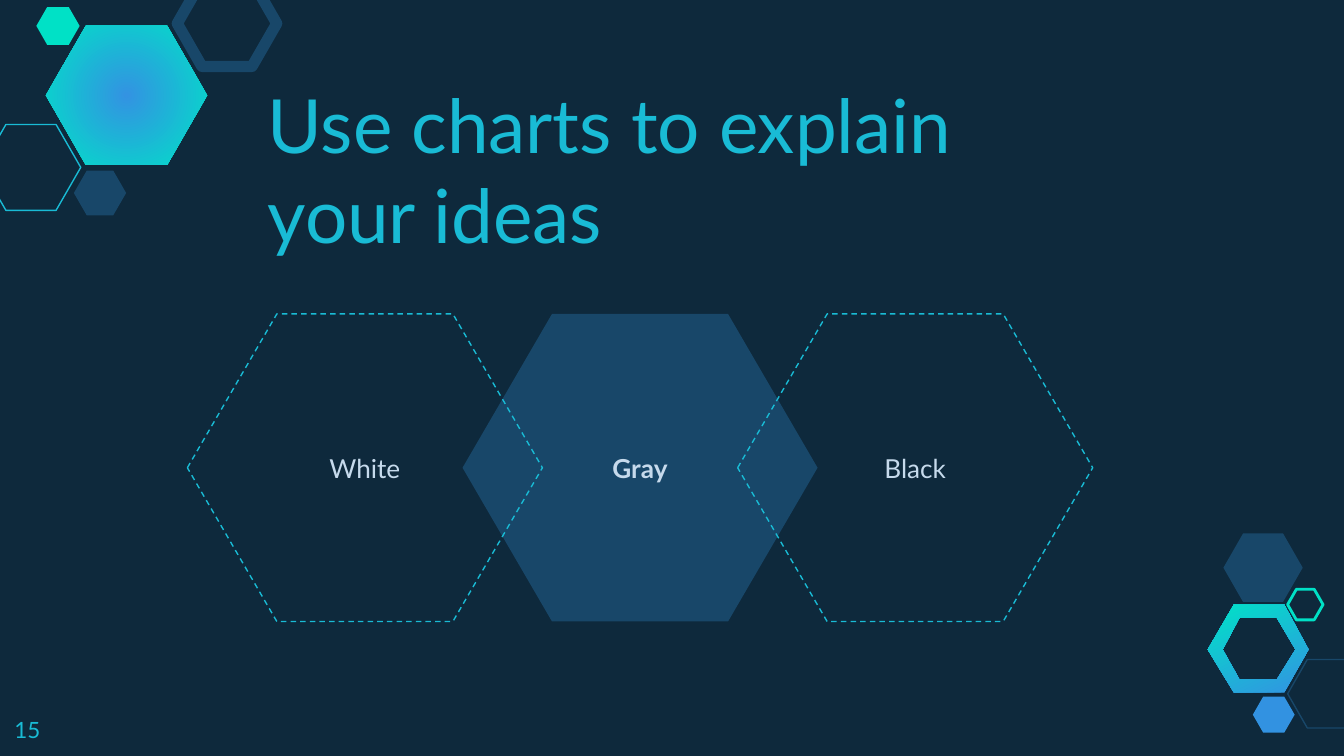
from lxml import etree
from pptx import Presentation
from pptx.dml.color import RGBColor
from pptx.enum.dml import MSO_LINE
from pptx.enum.shapes import MSO_SHAPE
from pptx.enum.text import MSO_ANCHOR, PP_ALIGN
from pptx.oxml.ns import qn
from pptx.util import Pt

HEXAGON = MSO_SHAPE.HEXAGON
DASH = MSO_LINE.DASH
MIDDLE, BOTTOM, TOP = MSO_ANCHOR.MIDDLE, MSO_ANCHOR.BOTTOM, MSO_ANCHOR.TOP
LEFT, CENTER = PP_ALIGN.LEFT, PP_ALIGN.CENTER

NIGHT = RGBColor(0x0E, 0x29, 0x3C)
NAVY = RGBColor(0x18, 0x47, 0x69)
CYAN = RGBColor(0x19, 0xBB, 0xD5)
MINT = RGBColor(0x00, 0xE1, 0xC6)
BLUE = RGBColor(0x32, 0x92, 0xE1)
PALE = RGBColor(0xC6, 0xDA, 0xEC)
GRADIENT_START = RGBColor(0x33, 0x93, 0xE2)
GRADIENT_END = RGBColor(0x00, 0xE2, 0xC7)
FONT = "Lato"


def add_hexagon(slide, box, fill=None, line=None, weight=0.75, slant=0.287):
    shape = slide.shapes.add_shape(HEXAGON, *(Pt(value) for value in box))
    shape.adjustments[0] = slant
    shape.shadow.inherit = False
    if fill is None:
        shape.fill.background()
    else:
        shape.fill.solid()
        shape.fill.fore_color.rgb = fill
    if line is None:
        shape.line.fill.background()
    else:
        shape.line.color.rgb = line
        shape.line.width = Pt(weight)
    return shape


def set_gradient(shape, angle=0):
    shape.fill.gradient()
    shape.fill.gradient_angle = angle
    stops = shape.fill.gradient_stops
    for stop, position, color in zip(stops, (0, 1), (GRADIENT_START, GRADIENT_END)):
        stop.position = position
        stop.color.rgb = color


def make_radial(shape):
    linear = shape.element.spPr.find(qn("a:gradFill")).find(qn("a:lin"))
    circle = etree.Element(qn("a:path"), {"path": "circle"})
    center = dict.fromkeys("ltrb", "50000")
    etree.SubElement(circle, qn("a:fillToRect"), center)
    linear.getparent().replace(linear, circle)


def hexagon_points(left, top, width, height, slant):
    right, bottom, middle = left + width, top + height, top + height / 2
    return [(left, middle), (left + slant, top), (right - slant, top),
            (right, middle), (right - slant, bottom), (left + slant, bottom)]


def add_ring(slide, left, top):
    outer = hexagon_points(left, top, 54, 46.8, 13.6)
    inner = hexagon_points(left + 7.5, top + 6.8, 39, 33.2, 9.5)[::-1]
    builder = slide.shapes.build_freeform(*outer[0], scale=Pt(1))
    builder.add_line_segments(outer[1:])
    builder.move_to(*inner[0])
    builder.add_line_segments(inner[1:])
    ring = builder.convert_to_shape()
    ring.shadow.inherit = False
    ring.line.fill.background()
    set_gradient(ring, 116)


def add_top_cluster(slide, left, top):
    large = add_hexagon(slide, (left + 24.6, top + 13.8, 86.4, 74.6))
    set_gradient(large)
    make_radial(large)
    add_hexagon(slide, (left - 10, top + 66.7, 53.3, 46), line=CYAN)
    add_hexagon(slide, (left + 39.6, top + 91.4, 28, 24), fill=NAVY)
    add_hexagon(slide, (left + 95, top - 10.4, 53.3, 46), line=NAVY, weight=6)
    add_hexagon(slide, (left + 19.5, top + 3.8, 23.2, 20.2), fill=MINT)


def add_bottom_cluster(slide, left, top):
    add_ring(slide, left + 7.2, top + 44.4)
    add_hexagon(slide, (left + 49.8, top + 73.3, 42.5, 36.7), line=NAVY)
    add_hexagon(slide, (left + 31.2, top + 93.2, 22.4, 19.4), fill=BLUE)
    add_hexagon(slide, (left + 15.4, top + 5.8, 42.5, 36.7), fill=NAVY)
    add_hexagon(slide, (left + 49.8, top + 35.7, 19, 16.4), line=MINT, weight=1.5)


def write_text(shape, text, size, color, align, anchor, bold=False):
    frame = shape.text_frame
    frame.word_wrap = True
    frame.vertical_anchor = anchor
    frame.margin_left = frame.margin_right = Pt(7.2)
    frame.margin_top = frame.margin_bottom = Pt(7.2)
    frame.text = text
    paragraph = frame.paragraphs[0]
    paragraph.alignment = align
    paragraph.font.name = FONT
    paragraph.font.size = Pt(size)
    paragraph.font.bold = bold
    paragraph.font.color.rgb = color


def add_title(slide, left, top, width, height):
    title = slide.shapes.title
    title.left, title.top = Pt(left), Pt(top)
    title.width, title.height = Pt(width), Pt(height)
    write_text(title, "Use charts to explain your ideas", 40, CYAN, LEFT, BOTTOM)


def add_hexagon_row(slide, left, top, width, height):
    step = 147.4
    hexagon_width = width - 2 * step
    for column, label in ((1, "Gray"), (0, "White"), (2, "Black")):
        middle = column == 1
        box = (left + column * step, top, hexagon_width, height)
        hexagon = add_hexagon(slide, box, fill=NAVY if middle else None,
                              line=None if middle else CYAN, slant=0.291)
        if not middle:
            hexagon.line.dash_style = DASH
        write_text(hexagon, label, 14, PALE, CENTER, MIDDLE, bold=middle)


def add_slide_number(slide, left, top, width, height):
    number = slide.shapes.add_textbox(Pt(left), Pt(top), Pt(width), Pt(height))
    write_text(number, "15", 12, CYAN, LEFT, TOP)


def main():
    presentation = Presentation()
    presentation.slide_width = Pt(720)
    presentation.slide_height = Pt(405)
    slide = presentation.slides.add_slide(presentation.slide_layouts[5])
    slide.background.fill.solid()
    slide.background.fill.fore_color.rgb = NIGHT
    add_bottom_cluster(slide, 640, 280)
    add_top_cluster(slide, 0, 0)
    add_title(slide, 136.2, 94.3, 389.5, 51.1)
    add_hexagon_row(slide, 100.4, 168.2, 485, 164.8)
    add_slide_number(slide, 0.7, 376.7, 43.2, 28)
    presentation.save("out.pptx")


if __name__ == "__main__":
    main()
